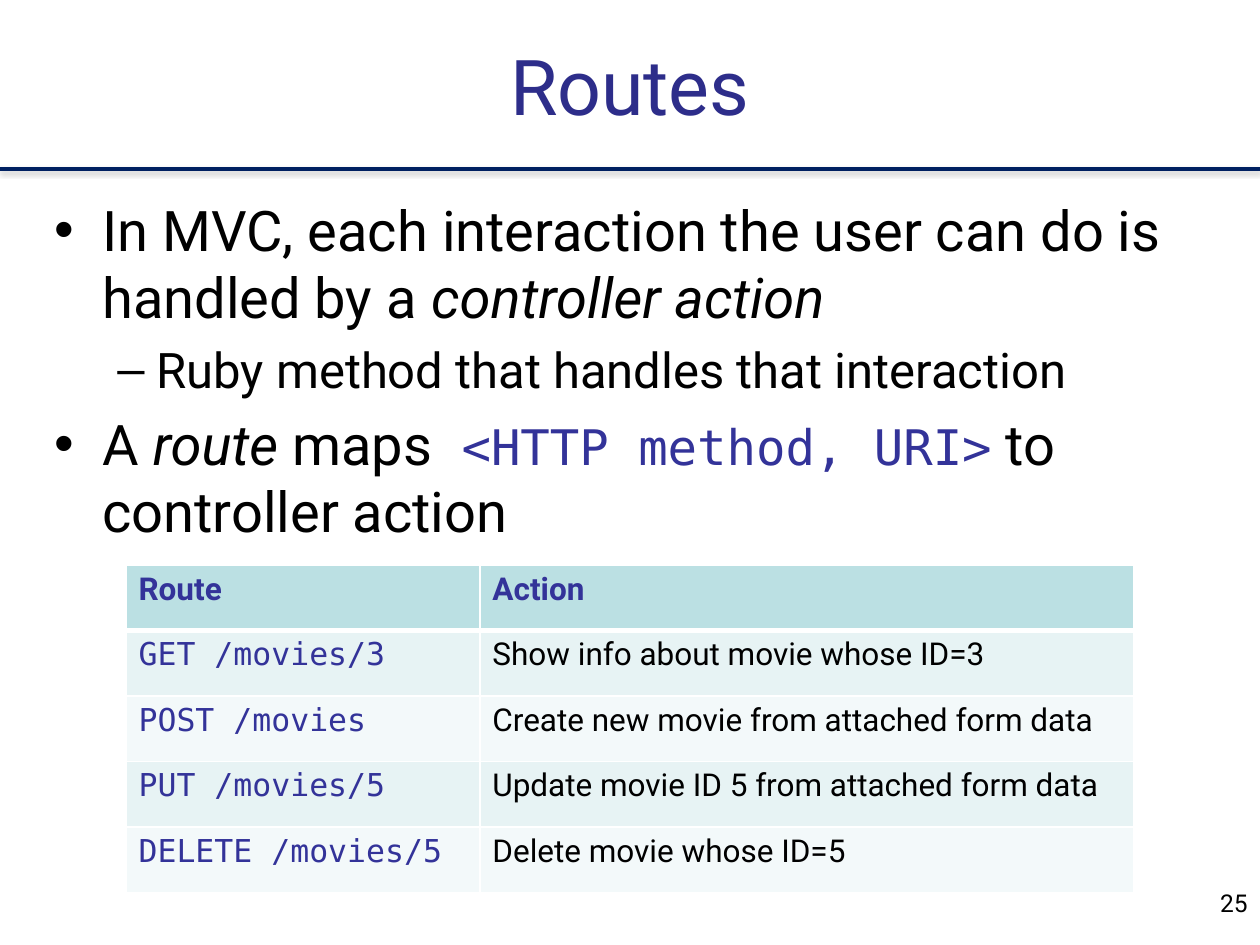
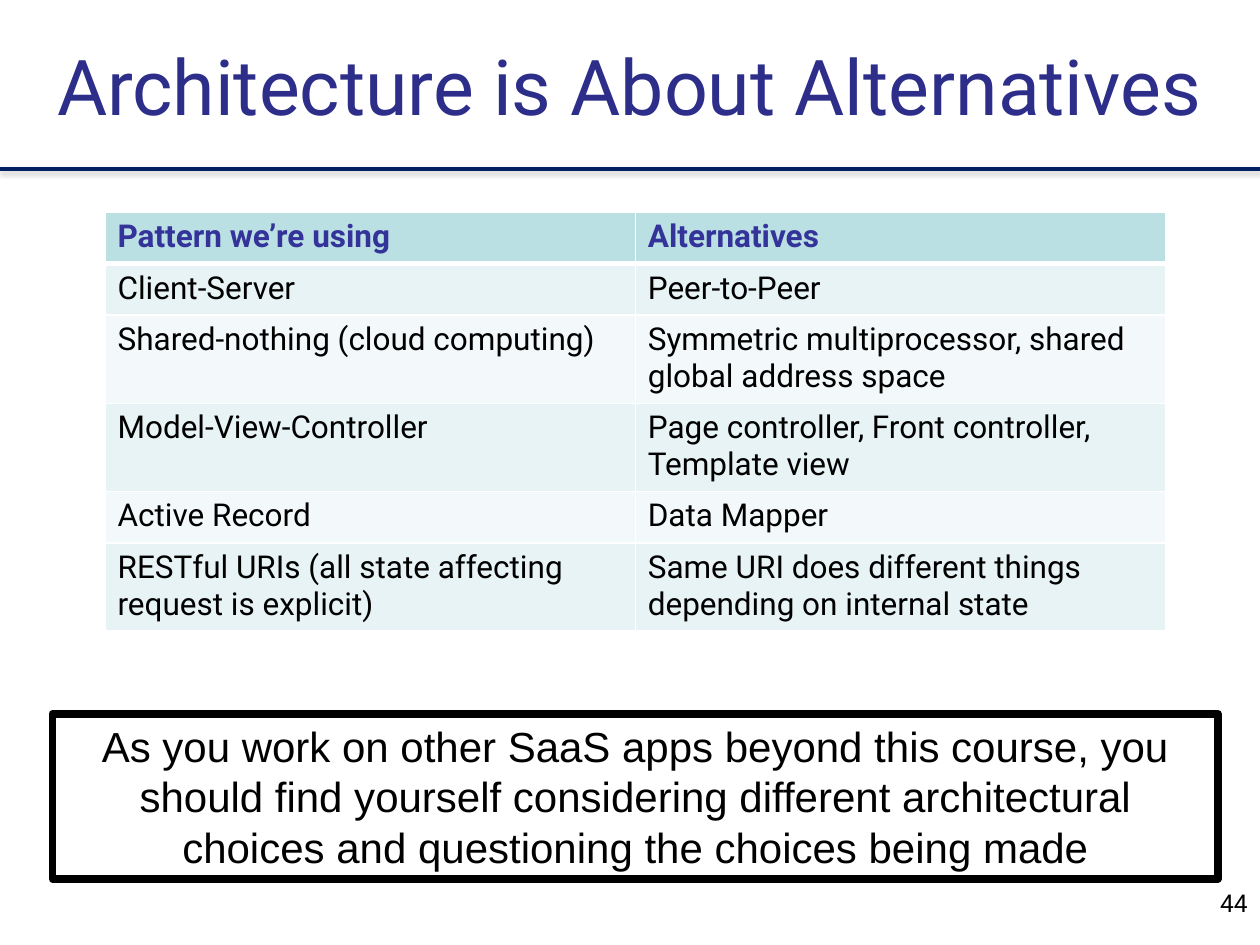
from collections import namedtuple

from lxml.etree import SubElement
from pptx import Presentation
from pptx.dml.color import RGBColor
from pptx.enum.shapes import MSO_CONNECTOR as Connector, MSO_SHAPE as Preset
from pptx.enum.text import MSO_ANCHOR as Anchor, MSO_AUTO_SIZE as AutoSize, PP_ALIGN as Align
from pptx.oxml.ns import qn
from pptx.util import Emu, Inches, Pt

COLUMNS, ROWS = 120, 90
UNIT = Inches(10) // COLUMNS

SANS, MONO, PLAIN = "Roboto", "DejaVu Sans Mono", "Arial"
BLACK, WHITE = "000000", "FFFFFF"
TITLE_BLUE, RULE_BLUE, CODE_BLUE = "2D2D8A", "002061", "333399"
HEADER_FILL, BAND_FILLS = "BBE0E3", ("E7F3F4", "F3F9FA")

Box = namedtuple("Box", "left top width height")
Style = namedtuple("Style", "size font color bold italic", defaults=(SANS, BLACK, False, False))
Bullet = namedtuple("Bullet", "sign margin hang size")

TITLE_BOX = Box(0, 0, COLUMNS, 16.1)
NUMBER_BOX = Box(92, 84, 28, 6)
TABLE_TEXT = Style(18)
TABLE_CODE = Style(18, MONO, CODE_BLUE)
TABLE_HEAD = Style(18, SANS, CODE_BLUE, bold=True)
TOP_BULLET = Bullet("•", 0.38, 0.38, 32)
SUB_BULLET = Bullet("–", 0.81, 0.31, 28)


def grid(*lengths):
    return [Emu(round(length * UNIT)) for length in lengths]


def rgb(color):
    return RGBColor.from_string(color)


def format_span(span, style):
    font = span.font
    font.size, font.name = Pt(style.size), style.font
    font.bold, font.italic = style.bold, style.italic
    font.color.rgb = rgb(style.color)


def write(frame, text, style, align=Align.LEFT, anchor=Anchor.TOP):
    frame.word_wrap = True
    frame.vertical_anchor = anchor
    frame.text = text
    para = frame.paragraphs[0]
    para.alignment = align
    format_span(para.runs[0], style)


def add_text(page, box, *args, **options):
    write(page.shapes.add_textbox(*grid(*box)).text_frame, *args, **options)


def add_title_band(page, box, title):
    bottom = box.top + box.height
    rule = page.shapes.add_connector(
        Connector.STRAIGHT, *grid(box.left, bottom, box.left + box.width, bottom))
    rule.line.color.rgb = rgb(RULE_BLUE)
    rule.line.width = Pt(2)
    effects = SubElement(rule._element.spPr, qn("a:effectLst"))
    shadow = SubElement(effects, qn("a:outerShdw"), blurRad=str(Pt(3.1)),
                        dist=str(Pt(1.6)), dir="5400000", rotWithShape="0")
    tint = SubElement(shadow, qn("a:srgbClr"), val="808080")
    SubElement(tint, qn("a:alpha"), val="38000")
    add_text(page, box, title, Style(44, color=TITLE_BLUE), Align.CENTER, Anchor.MIDDLE)


def add_page(deck, title, number):
    page = deck.slides.add_slide(deck.slide_layouts[6])
    add_title_band(page, TITLE_BOX, title)
    add_text(page, NUMBER_BOX, str(number), Style(14), Align.RIGHT)
    return page


def set_bullet(para, bullet):
    para.space_before = Pt(bullet.size * 0.2)
    props = para._p.get_or_add_pPr()
    props.set("marL", str(Inches(bullet.margin)))
    props.set("indent", str(-Inches(bullet.hang)))
    SubElement(props, qn("a:buFont"), typeface=PLAIN)
    SubElement(props, qn("a:buChar"), char=bullet.sign)


def add_bullets(page, box, items):
    """Each item is a bullet followed by (text, style) pairs."""
    frame = page.shapes.add_textbox(*grid(*box)).text_frame
    frame.word_wrap = True
    for index, (bullet, *pieces) in enumerate(items):
        para = frame.add_paragraph() if index else frame.paragraphs[0]
        set_bullet(para, bullet)
        for text, style in pieces:
            span = para.add_run()
            span.text = text
            format_span(span, style)


def set_borders(cell, widths):
    props = cell._tc.get_or_add_tcPr()
    for side, width in zip("LRTB", widths):
        edge = SubElement(props, qn(f"a:ln{side}"), w=str(Pt(width)))
        SubElement(SubElement(edge, qn("a:solidFill")), qn("a:srgbClr"), val=WHITE)


def add_banded_table(page, box, widths, heights, rows, column_styles):
    table = page.shapes.add_table(len(rows), len(widths), *grid(*box)).table
    for column, width in zip(table.columns, grid(*widths)):
        column.width = width
    for row, height in zip(table.rows, grid(*heights)):
        row.height = height
    for r, texts in enumerate(rows):
        fill = BAND_FILLS[(r - 1) % 2] if r else HEADER_FILL
        for c, text in enumerate(texts):
            cell = table.cell(r, c)
            set_borders(cell, (1, 1, 3 if r == 1 else 1, 3 if r == 0 else 1))
            cell.fill.solid()
            cell.fill.fore_color.rgb = rgb(fill)
            write(cell.text_frame, text, column_styles[c] if r else TABLE_HEAD)


def add_callout(page, box, text):
    shape = page.shapes.add_shape(Preset.RECTANGLE, *grid(*box))
    shape.shadow.inherit = False
    shape.fill.background()
    shape.line.color.rgb = rgb(BLACK)
    shape.line.width = Pt(4.5)
    write(shape.text_frame, text, Style(24, PLAIN), Align.CENTER)
    shape.text_frame.auto_size = AutoSize.SHAPE_TO_FIT_TEXT


def build_routes(deck):
    page = add_page(deck, "Routes", 25)
    normal, italic = Style(32), Style(32, italic=True)
    add_bullets(page, Box(4, 18, 112, 62.4), [
        (TOP_BULLET,
         ("In MVC, each interaction the user can do is handled by a ", normal),
         ("controller action", italic)),
        (SUB_BULLET, ("Ruby method that handles that interaction", Style(28))),
        (TOP_BULLET,
         ("A ", normal), ("route ", italic), ("maps", normal),
         (" <HTTP method, URI>", Style(28, MONO, CODE_BLUE)),
         (" to controller action", normal)),
    ])
    rows = [
        ("Route", "Action"),
        ("GET /movies/3", "Show info about movie whose ID=3"),
        ("POST /movies", "Create new movie from attached form data"),
        ("PUT /movies/5", "Update movie ID 5 from attached form data"),
        ("DELETE /movies/5", "Delete movie whose ID=5"),
    ]
    box = Box(12, 53.8, 96, 31.2)
    add_banded_table(page, box, (33.7, 62.3), [box.height / len(rows)] * len(rows),
                     rows, (TABLE_CODE, TABLE_TEXT))


def build_alternatives(deck):
    page = add_page(deck, "Architecture is About Alternatives", 44)
    rows = [
        ("Pattern we’re using", "Alternatives"),
        ("Client-Server", "Peer-to-Peer"),
        ("Shared-nothing (cloud computing)",
         "Symmetric multiprocessor, shared global address space"),
        ("Model-View-Controller", "Page controller, Front controller, Template view"),
        ("Active Record", "Data Mapper"),
        ("RESTful URIs (all state affecting request is explicit)",
         "Same URI does different things depending on internal state"),
    ]
    one_line, two_lines = 4.9, 8.4
    heights = (one_line, one_line, two_lines, two_lines, one_line, two_lines)
    box = Box(10, 20.2, 101, sum(heights))
    add_banded_table(page, box, [box.width / 2] * 2, heights, rows, [TABLE_TEXT] * 2)
    add_callout(page, Box(5, 68, 111, 15.7),
                "As you work on other SaaS apps beyond this course, you should find "
                "yourself considering different architectural choices and questioning "
                "the choices being made")


def main():
    deck = Presentation()
    deck.slide_width, deck.slide_height = grid(COLUMNS, ROWS)
    build_routes(deck)
    build_alternatives(deck)
    deck.save("out.pptx")


if __name__ == "__main__":
    main()
